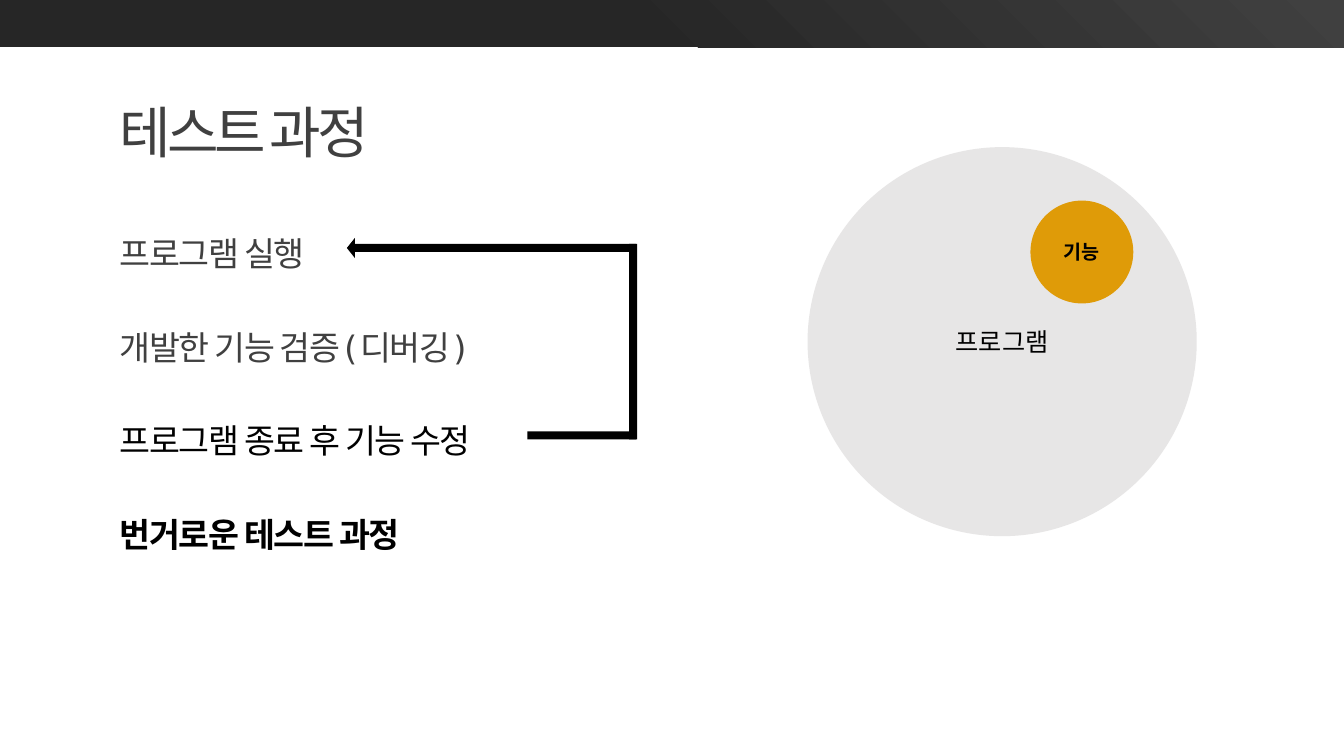
from dataclasses import dataclass

from lxml import etree
from pptx import Presentation
from pptx import util as u
from pptx.dml.color import RGBColor
from pptx.enum import shapes, text
from pptx.oxml import ns

PX = u.Inches(1) // 100


@dataclass(frozen=True)
class Theme:
    latin: str = "DejaVu Sans Mono"
    korean: str = "Noto Sans CJK KR"
    ink: str = "000000"
    grey: str = "404040"
    band_dark: str = "262626"
    program: str = "E7E6E6"
    feature: str = "DF9B08"
    title: int = 40
    step: int = 24
    program_label: int = 18
    feature_label: int = 14


THEME = Theme()


def write(frame, content, *, size, color=THEME.ink, font=THEME.korean, bold=False,
          tracking=0, line_spacing=None, align=text.PP_ALIGN.LEFT):
    """Put one formatted line in a text frame; tracking is in points."""
    paragraph = frame.paragraphs[0]
    paragraph.alignment = align
    paragraph.line_spacing = line_spacing
    run = paragraph.add_run()
    run.text = content
    run.font.name = font
    run.font.size = u.Pt(size)
    run.font.bold = bold
    run.font.color.rgb = RGBColor.from_string(color)
    properties = run.font._element
    if tracking:
        properties.set("spc", str(tracking * 100))
    etree.SubElement(properties, ns.qn("a:ea"), typeface=THEME.korean)


class SlideBuilder:
    def __init__(self, theme, width, height):
        self.theme = theme
        self.width = width
        self.deck = Presentation()
        self.deck.slide_width = width * PX
        self.deck.slide_height = height * PX
        self.slide = self.deck.slides.add_slide(self.deck.slide_layouts[6])

    def shape(self, kind, box, color, rotation=0):
        drawn = self.slide.shapes.add_shape(kind, *(side * PX for side in box))
        drawn.shadow.inherit = False
        drawn.line.fill.background()
        drawn.fill.solid()
        drawn.fill.fore_color.rgb = RGBColor.from_string(color)
        drawn.rotation = rotation
        return drawn

    def bar(self, box, rotation=0):
        return self.shape(shapes.MSO_SHAPE.RECTANGLE, box, self.theme.ink, rotation)

    def header_band(self, height):
        """Full-width band, lit from its top right corner."""
        band = self.bar((0, 0, self.width, height))
        band.fill.gradient()
        stops = ((0, self.theme.grey), (0.54, self.theme.band_dark))
        for stop, (position, color) in zip(band.fill.gradient_stops, stops):
            stop.position = position
            stop.color.rgb = RGBColor.from_string(color)
        linear = next(band._element.iter(ns.qn("a:lin")))
        radial = etree.Element(ns.qn("a:path"), path="circle")
        etree.SubElement(radial, ns.qn("a:fillToRect"), l="100000", b="100000")
        linear.getparent().replace(linear, radial)

    def line_of_text(self, box, content, **style):
        holder = self.slide.shapes.add_textbox(*(side * PX for side in box))
        holder.text_frame.word_wrap = True
        write(holder.text_frame, content, font=self.theme.latin, line_spacing=1.1, **style)

    def circle(self, left, top, diameter, color, label, **style):
        disc = self.shape(shapes.MSO_SHAPE.OVAL, (left, top, diameter, diameter), color)
        disc.text_frame.vertical_anchor = text.MSO_ANCHOR.MIDDLE
        write(disc.text_frame, label, align=text.PP_ALIGN.CENTER, **style)

    def return_arrow(self):
        """Path from the third step back to the first."""
        self.bar((523, 428, 108, 8))
        self.bar((531, 335, 194, 8), rotation=270)
        self.bar((352, 242, 279, 8))
        self.shape(shapes.MSO_SHAPE.ISOSCELES_TRIANGLE, (338, 242, 20, 8),
                   self.theme.ink, rotation=270)


def main():
    builder = SlideBuilder(THEME, 1333, 750)
    builder.header_band(47)
    builder.line_of_text((109, 85, 941, 71), "테스트 과정",
                         size=THEME.title, color=THEME.grey, tracking=-3)

    steps = (
        ("프로그램 실행", THEME.grey, False),
        ("개발한 기능 검증(디버깅)", THEME.grey, False),
        ("프로그램 종료 후 기능 수정", THEME.ink, False),
        ("번거로운 테스트 과정", THEME.ink, True),
    )
    for row, (step, color, bold) in enumerate(steps):
        builder.line_of_text((109, 222 + 93 * row, 540, 47), step,
                             size=THEME.step, color=color, bold=bold, tracking=-1)

    builder.return_arrow()
    builder.circle(801, 146, 386, THEME.program, "프로그램", size=THEME.program_label)
    builder.circle(1022, 199, 102, THEME.feature, "기능",
                   size=THEME.feature_label, bold=True)
    builder.deck.save("out.pptx")


if __name__ == "__main__":
    main()
